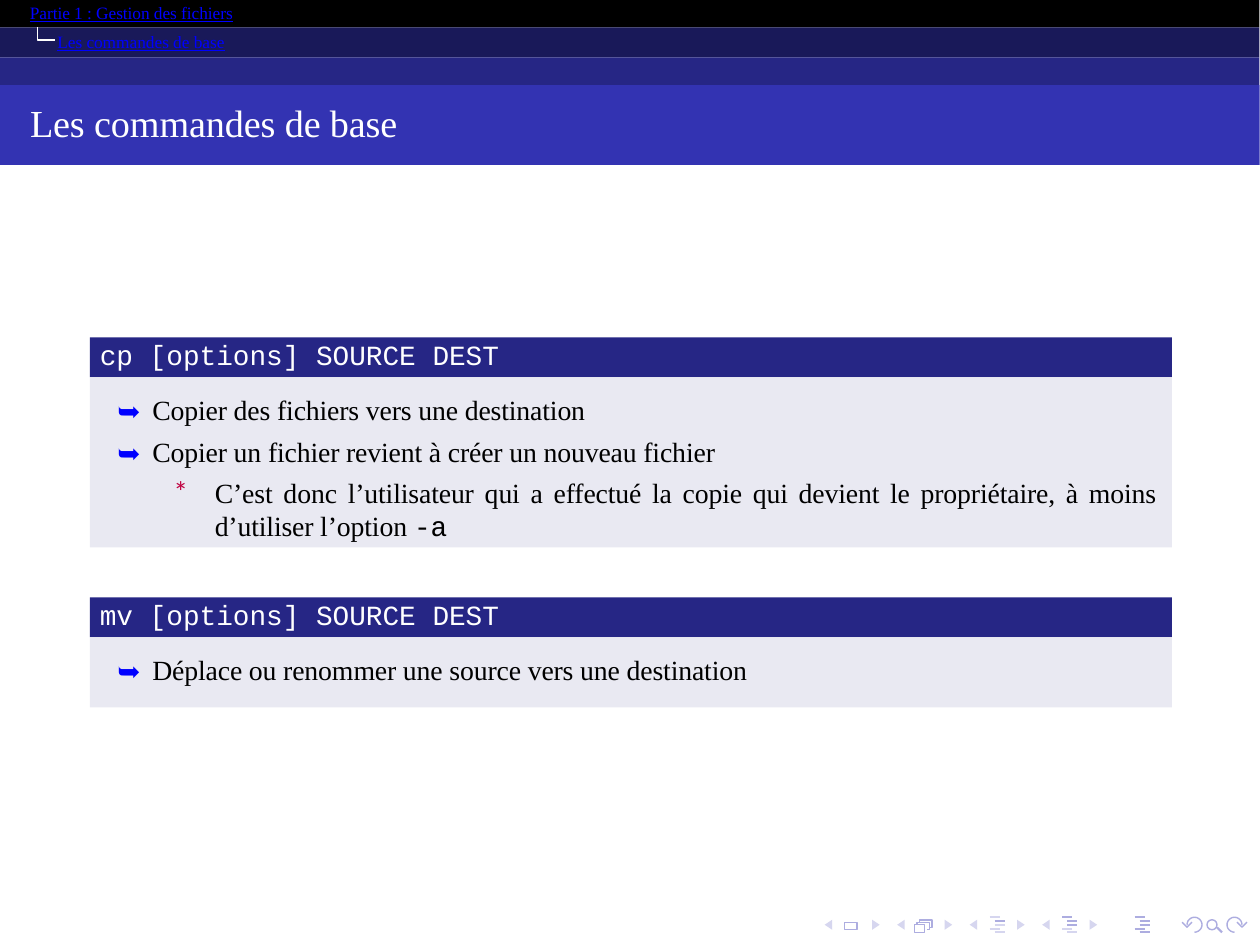
from math import cos, pi, sin

from lxml.etree import SubElement
from pptx import Presentation
from pptx.dml.color import RGBColor
from pptx.enum.shapes import MSO_CONNECTOR, MSO_SHAPE
from pptx.enum.text import MSO_ANCHOR, PP_ALIGN
from pptx.oxml.ns import qn
from pptx.util import Inches, Pt

BLACK = RGBColor(0x00, 0x00, 0x00)
WHITE = RGBColor(0xFF, 0xFF, 0xFF)
LINK_BLUE = RGBColor(0x00, 0x00, 0xFF)
NIGHT = RGBColor(0x19, 0x19, 0x59)
NAVY = RGBColor(0x26, 0x26, 0x85)
INDIGO = RGBColor(0x33, 0x33, 0xB2)
PALE = RGBColor(0xE9, 0xE9, 0xF2)
CRIMSON = RGBColor(0xBF, 0x00, 0x3F)
ICON = RGBColor(0xAD, 0xAD, 0xE0)
ICON_LIGHT = RGBColor(0xD6, 0xD6, 0xEF)

SERIF, MONO = "Times New Roman", "Courier New"
SLIDE_SIZE = (Pt(363), Pt(272.5))
BAR_WIDTH = 5.04
TITLE = "Les commandes de base"

# top, height, colour, text, text left
HEADER_BARS = [
    (0, 0.11, BLACK, "Partie 1 : Gestion des fichiers", 0.12),
    (0.11, 0.12, NIGHT, "Les commandes de base", 0.23),
    (0.23, 0.11, NAVY, "", 0),
]
# top, body height, heading, items as (level, [(text, font)])
BLOCKS = [
    (1.35, 0.68, "cp [options] SOURCE DEST", [
        (0, [("Copier des fichiers vers une destination", SERIF)]),
        (0, [("Copier un fichier revient à créer un nouveau fichier", SERIF)]),
        (1, [("C’est donc l’utilisateur qui a effectué la copie qui devient le "
              "propriétaire, à moins d’utiliser l’option ", SERIF), ("-a", MONO)]),
    ]),
    (2.39, 0.28, "mv [options] SOURCE DEST", [
        (0, [("Déplace ou renommer une source vers une destination", SERIF)]),
    ]),
]
# bullet, bullet font, colour, left margin, first-line indent, space before
LEVELS = [
    ("➥", "Noto Sans CJK JP", LINK_BLUE, 0.25, -0.14, 2.6),
    ("*", "Lato", CRIMSON, 0.5, -0.16, 2.3),
]
BLOCK_LEFT, BLOCK_WIDTH, HEADING_HEIGHT = 0.36, 4.33, 0.16

ARROW_PAIRS_LEFT, ARROW_PAIR_PITCH, ARROW_PAIR_COUNT = 3.3, 0.29, 4
LINES_TOP, LINES_HEIGHT = 3.67, 0.06
LINE_OFFSETS = [0, 0.02, 0.02, 0, 0.02]
# left, indexes of the darker lines
LINE_ICONS = [(3.96, {1}), (4.25, {0, 1, 2}), (4.54, {0, 1, 2, 3, 4})]


def set_frame(shape, left=0, top=0, right=0, bottom=0, anchor=MSO_ANCHOR.MIDDLE):
    frame = shape.text_frame
    frame.word_wrap = True
    frame.vertical_anchor = anchor
    frame.margin_left, frame.margin_top = Inches(left), Inches(top)
    frame.margin_right, frame.margin_bottom = Inches(right), Inches(bottom)
    return frame


def set_font(paragraph, size, color, name=None, spacing=-5):
    """Set the font; spacing is in hundredths of a point."""
    font = paragraph.font
    font.size, font.color.rgb = Pt(size), color
    if name:
        font.name = name
    for run in paragraph.runs:
        run._r.get_or_add_rPr().set("spc", str(spacing))
    return font


def add_bar(left, top, width, height, color):
    bar = slide.shapes.add_shape(
        MSO_SHAPE.RECTANGLE, Inches(left), Inches(top), Inches(width), Inches(height))
    bar.shadow.inherit = False
    bar.fill.solid()
    bar.fill.fore_color.rgb = color
    bar.line.fill.background()
    bar.text_frame.paragraphs[0].alignment = PP_ALIGN.LEFT
    return bar


def add_outline(paths, color, width=0.4, closed=False, filled=False):
    """Draw one freeform from several lists of (x, y) points in inches."""
    paths = [[(Inches(x), Inches(y)) for x, y in path] for path in paths]
    builder = slide.shapes.build_freeform(*paths[0][0])
    for index, path in enumerate(paths):
        if index:
            builder.move_to(*path[0])
        builder.add_line_segments(path[1:], close=closed)
    shape = builder.convert_to_shape()
    shape.shadow.inherit = False
    if filled:
        shape.fill.solid()
        shape.fill.fore_color.rgb = color
        shape.line.fill.background()
    else:
        shape.fill.background()
        shape.line.color.rgb = color
        shape.line.width = Pt(width)


def add_line(x1, y1, x2, y2, color):
    line = slide.shapes.add_connector(
        MSO_CONNECTOR.STRAIGHT, Inches(x1), Inches(y1), Inches(x2), Inches(y2))
    line.line.color.rgb = color
    line.line.width = Pt(0.6)
    SubElement(line._element.spPr, qn("a:effectLst"))


def add_item(paragraph, level, runs):
    bullet, bullet_font, color, margin, indent, space = LEVELS[level]
    for text, font_name in runs:
        run = paragraph.add_run()
        run.text, run.font.name = text, font_name
    paragraph.space_before = Pt(space)
    if level:
        paragraph.line_spacing = Pt(9.5)
    paragraph.alignment = PP_ALIGN.JUSTIFY if level else PP_ALIGN.LEFT
    properties = paragraph._p.get_or_add_pPr()
    properties.set("marL", str(Inches(margin)))
    properties.set("indent", str(Inches(indent)))
    bullet_color = SubElement(properties, qn("a:buClr"))
    SubElement(bullet_color, qn("a:srgbClr"), val=str(color))
    SubElement(properties, qn("a:buFont"), typeface=bullet_font)
    SubElement(properties, qn("a:buChar"), char=bullet)
    set_font(paragraph, 8, BLACK)


def add_block(top, body_height, heading, items):
    bar = add_bar(BLOCK_LEFT, top, BLOCK_WIDTH, HEADING_HEIGHT, NAVY)
    paragraph = set_frame(bar, left=0.04, bottom=0.02).paragraphs[0]
    paragraph.text = heading
    set_font(paragraph, 8, WHITE, MONO, spacing=-2)
    body = add_bar(BLOCK_LEFT, top + HEADING_HEIGHT, BLOCK_WIDTH, body_height, PALE)
    frame = set_frame(body, top=0.06, right=0.06, anchor=MSO_ANCHOR.TOP)
    for index, item in enumerate(items):
        add_item(frame.add_paragraph() if index else frame.paragraphs[0], *item)


def add_navigation():
    for index in range(ARROW_PAIR_COUNT):
        left = ARROW_PAIRS_LEFT + index * ARROW_PAIR_PITCH
        add_outline([[(left + 0.03, 3.68), (left, 3.7), (left + 0.03, 3.72)],
                     [(left + 0.19, 3.68), (left + 0.19, 3.72), (left + 0.22, 3.7)]],
                    ICON_LIGHT, closed=True, filled=True)
    add_outline([[(3.38, 3.69), (3.43, 3.69), (3.43, 3.72), (3.38, 3.72)]],
                ICON, closed=True)
    add_outline([[(3.66, 3.73), (3.7, 3.73), (3.7, 3.7), (3.66, 3.7), (3.66, 3.73)],
                 [(3.67, 3.7), (3.67, 3.69), (3.72, 3.69), (3.72, 3.72), (3.71, 3.72)],
                 [(3.68, 3.69), (3.68, 3.68), (3.73, 3.68), (3.73, 3.71), (3.72, 3.71)]],
                ICON)
    for left, dark_lines in LINE_ICONS:
        for index, offset in enumerate(LINE_OFFSETS):
            x = left + offset
            y = LINES_TOP + index * LINES_HEIGHT / (len(LINE_OFFSETS) - 1)
            add_line(x, y, x + 0.04, y, ICON if index in dark_lines else ICON_LIGHT)
    for center, side in ((4.78, 1), (4.94, -1)):
        angles = [pi / 2 - step * pi / 12 for step in range(19)]
        arc = [(center + side * 0.03 * cos(a), 3.7 + 0.03 * sin(a)) for a in angles]
        tip = center - side * 0.03
        add_outline([arc, [(tip - 0.02, 3.69), (tip, 3.71), (tip + 0.02, 3.69)]], ICON)
    lens = slide.shapes.add_shape(
        MSO_SHAPE.OVAL, Inches(4.83), Inches(3.68), Inches(0.04), Inches(0.04))
    lens.shadow.inherit = False
    lens.fill.background()
    lens.line.color.rgb = ICON
    lens.line.width = Pt(0.4)
    add_line(4.87, 3.71, 4.89, 3.73, ICON)


presentation = Presentation()
presentation.slide_width, presentation.slide_height = SLIDE_SIZE
slide = presentation.slides.add_slide(presentation.slide_layouts[5])

title = slide.shapes.title
title.left, title.top = 0, Inches(0.34)
title.width, title.height = Inches(BAR_WIDTH), Inches(0.32)
title.fill.solid()
title.fill.fore_color.rgb = INDIGO
title.text = TITLE
paragraph = set_frame(title, left=0.12, bottom=0.02).paragraphs[0]
paragraph.alignment = PP_ALIGN.LEFT
set_font(paragraph, 11, WHITE, SERIF)

for top, height, color, text, text_left in HEADER_BARS:
    bar = add_bar(0, top, BAR_WIDTH, height, color)
    if text:
        paragraph = set_frame(bar, left=text_left, bottom=0.01).paragraphs[0]
        paragraph.text = text
        set_font(paragraph, 5, LINK_BLUE, SERIF, spacing=-2).underline = True
add_outline([[(0.15, 0.11), (0.15, 0.16), (0.22, 0.16)]], WHITE)

for block in BLOCKS:
    add_block(*block)
add_navigation()

presentation.save("out.pptx")
